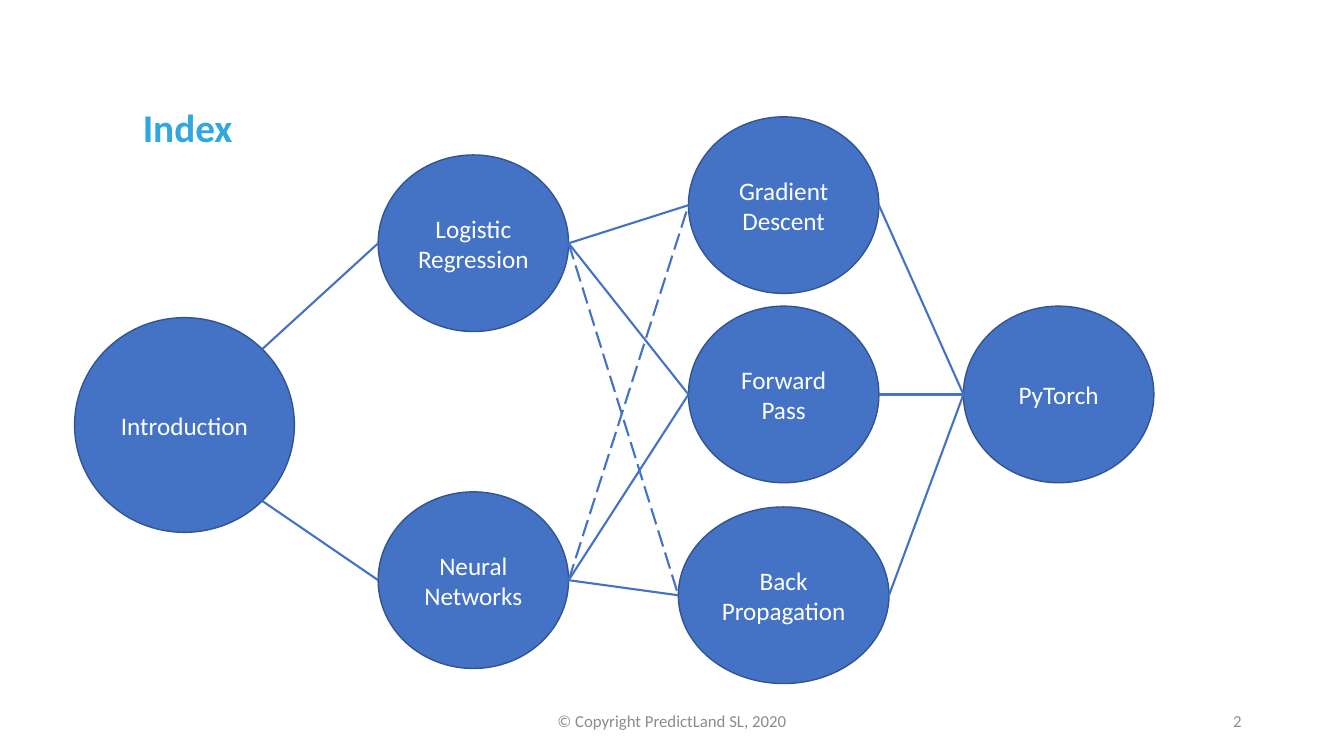
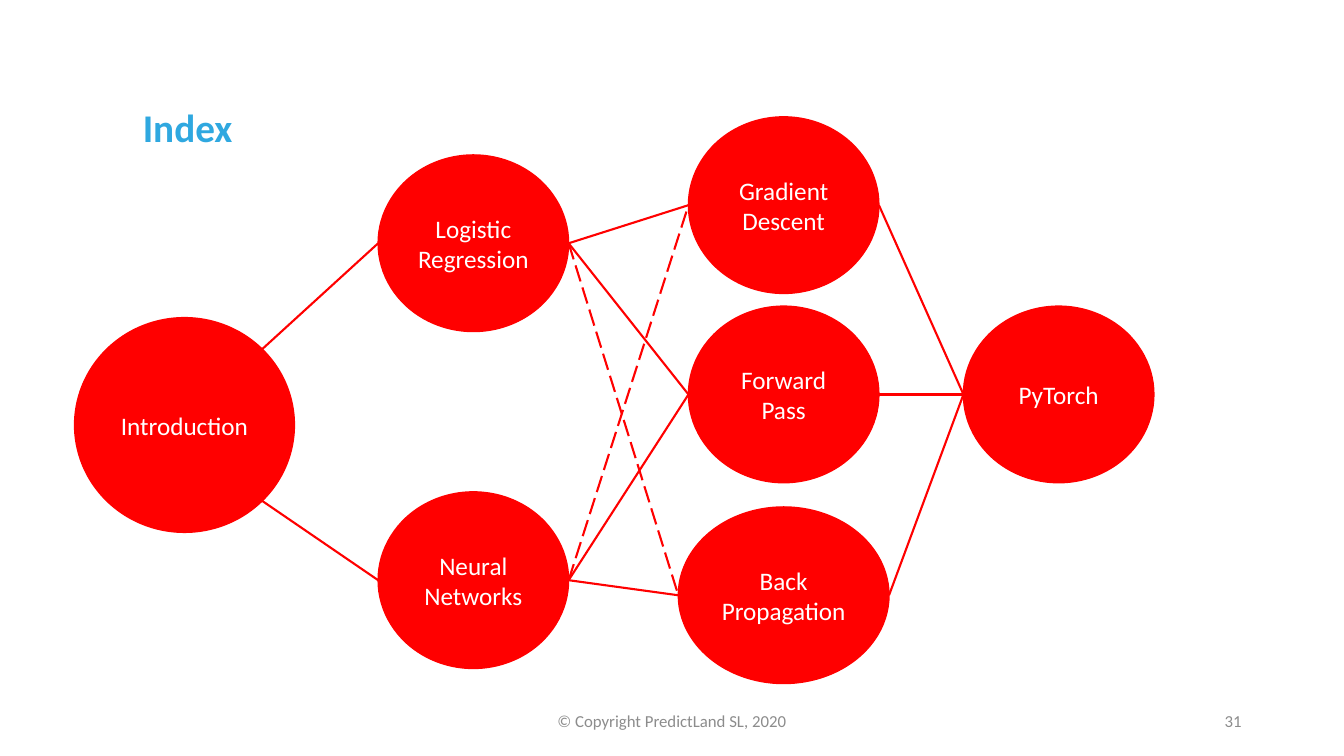
from dataclasses import dataclass
from math import cos, pi, sin

from lxml.etree import SubElement
from pptx import Presentation
from pptx.dml.color import RGBColor
from pptx.enum.dml import MSO_LINE
from pptx.enum.shapes import MSO_CONNECTOR, MSO_SHAPE
from pptx.enum.text import MSO_ANCHOR, MSO_AUTO_SIZE, PP_ALIGN
from pptx.oxml.ns import qn
from pptx.util import Cm, Pt


@dataclass(frozen=True)
class Theme:
    font: str = "Calibri"
    title_color: str = "2FA8E0"
    footer_color: str = "8C8C8C"
    node_text_color: str = "FFFFFF"
    title_size: int = 28
    node_size: int = 18
    footer_size: int = 12
    outline_width: float = 1
    link_width: float = 1.5


@dataclass(frozen=True)
class Palette:
    fill: str
    outline: str


THEME = Theme()
BLUE = Palette("4472C4", "325491")
RED = Palette("FF0000", "FF0000")

COPYRIGHT = "© Copyright PredictLand SL, 2020"
FOOTER_TOP, FOOTER_HEIGHT = 17.65, 1.02

NODE_WIDTH, NODE_HEIGHT = 4.8, 4.45
INPUT_X, MODEL_X, STEP_X, OUTPUT_X = 4.65, 11.93, 19.75, 26.68
FORWARD_Y = 9.94

NODES = (
    ("Introduction", INPUT_X, 10.71, 5.54, 5.41),
    ("Logistic Regression", MODEL_X, 6.13, NODE_WIDTH, NODE_HEIGHT),
    ("Neural Networks", MODEL_X, 14.62, NODE_WIDTH, NODE_HEIGHT),
    ("Gradient Descent", STEP_X, 5.17, NODE_WIDTH, NODE_HEIGHT),
    ("Forward Pass", STEP_X, FORWARD_Y, NODE_WIDTH, NODE_HEIGHT),
    ("Back Propagation", STEP_X, 15, 5.31, NODE_HEIGHT),
    ("PyTorch", OUTPUT_X, FORWARD_Y, NODE_WIDTH, NODE_HEIGHT),
)

LEFT, LOWER_RIGHT, RIGHT, UPPER_RIGHT = 2, 5, 6, 7

LINKS = (
    ("Introduction", UPPER_RIGHT, "Logistic Regression", False),
    ("Introduction", LOWER_RIGHT, "Neural Networks", False),
    ("Logistic Regression", RIGHT, "Gradient Descent", False),
    ("Neural Networks", RIGHT, "Back Propagation", False),
    ("Neural Networks", RIGHT, "Forward Pass", False),
    ("Gradient Descent", RIGHT, "PyTorch", False),
    ("Forward Pass", RIGHT, "PyTorch", False),
    ("Back Propagation", RIGHT, "PyTorch", False),
    ("Logistic Regression", RIGHT, "Forward Pass", False),
    ("Neural Networks", RIGHT, "Gradient Descent", True),
    ("Logistic Regression", RIGHT, "Back Propagation", True),
)


def write_text(shape, text, size, color, alignment, anchor, bold=False):
    frame = shape.text_frame
    frame.word_wrap = True
    frame.auto_size = MSO_AUTO_SIZE.NONE
    frame.vertical_anchor = anchor
    paragraph = frame.paragraphs[0]
    paragraph.alignment = alignment
    run = paragraph.add_run()
    run.text = text
    run.font.name = THEME.font
    run.font.size = Pt(size)
    run.font.bold = bold
    run.font.color.rgb = RGBColor.from_string(color)
    return paragraph


def add_title(slide, text):
    title = slide.shapes.title
    title.left, title.top = Cm(3.6), Cm(2.62)
    title.width, title.height = Cm(22), Cm(1.3)
    paragraph = write_text(title, text, THEME.title_size, THEME.title_color,
                           PP_ALIGN.LEFT, MSO_ANCHOR.TOP, bold=True)
    paragraph.line_spacing = 0.9
    title.text_frame.margin_left = 0


def add_footer_text(slide, text, left, width, alignment):
    box = slide.shapes.add_textbox(Cm(left), Cm(FOOTER_TOP), Cm(width), Cm(FOOTER_HEIGHT))
    write_text(box, text, THEME.footer_size, THEME.footer_color, alignment, MSO_ANCHOR.MIDDLE)


def add_node(slide, text, center_x, center_y, width, height, palette):
    node = slide.shapes.add_shape(
        MSO_SHAPE.OVAL, Cm(center_x - width / 2), Cm(center_y - height / 2), Cm(width), Cm(height))
    node.shadow.inherit = False
    node.fill.solid()
    node.fill.fore_color.rgb = RGBColor.from_string(palette.fill)
    node.line.color.rgb = RGBColor.from_string(palette.outline)
    node.line.width = Pt(THEME.outline_width)
    write_text(node, text, THEME.node_size, THEME.node_text_color,
               PP_ALIGN.CENTER, MSO_ANCHOR.MIDDLE)
    return node


def site_position(node, site):
    angle = site * pi / 4
    x = node.left + node.width / 2 * (1 - sin(angle))
    y = node.top + node.height / 2 * (1 - cos(angle))
    return round(x), round(y)


def add_link(slide, source, source_site, target, dashed, palette):
    connector = slide.shapes.add_connector(
        MSO_CONNECTOR.STRAIGHT, *site_position(source, source_site), *site_position(target, LEFT))
    connector.line.color.rgb = RGBColor.from_string(palette.fill)
    connector.line.width = Pt(THEME.link_width)
    if dashed:
        connector.line.dash_style = MSO_LINE.LONG_DASH
    element = connector.element
    SubElement(element.find(qn("p:spPr")), qn("a:effectLst"))
    attachments = element.find(".//" + qn("p:cNvCxnSpPr"))
    for tag, node, site in (("a:stCxn", source, source_site), ("a:endCxn", target, LEFT)):
        SubElement(attachments, qn(tag), id=str(node.shape_id), idx=str(site))


def add_index_slide(presentation, number, palette):
    slide = presentation.slides.add_slide(presentation.slide_layouts.get_by_name("Title Only"))
    add_footer_text(slide, number, 23.92, 7.62, PP_ALIGN.RIGHT)
    add_title(slide, "Index")
    add_footer_text(slide, COPYRIGHT, 11.22, 11.43, PP_ALIGN.CENTER)
    nodes = {node[0]: add_node(slide, *node, palette) for node in NODES}
    for source, source_site, target, dashed in LINKS:
        add_link(slide, nodes[source], source_site, nodes[target], dashed, palette)


def main():
    presentation = Presentation()
    presentation.slide_width, presentation.slide_height = Cm(33.87), Cm(19.05)
    for number, palette in (("2", BLUE), ("31", RED)):
        add_index_slide(presentation, number, palette)
    presentation.save("out.pptx")


if __name__ == "__main__":
    main()
